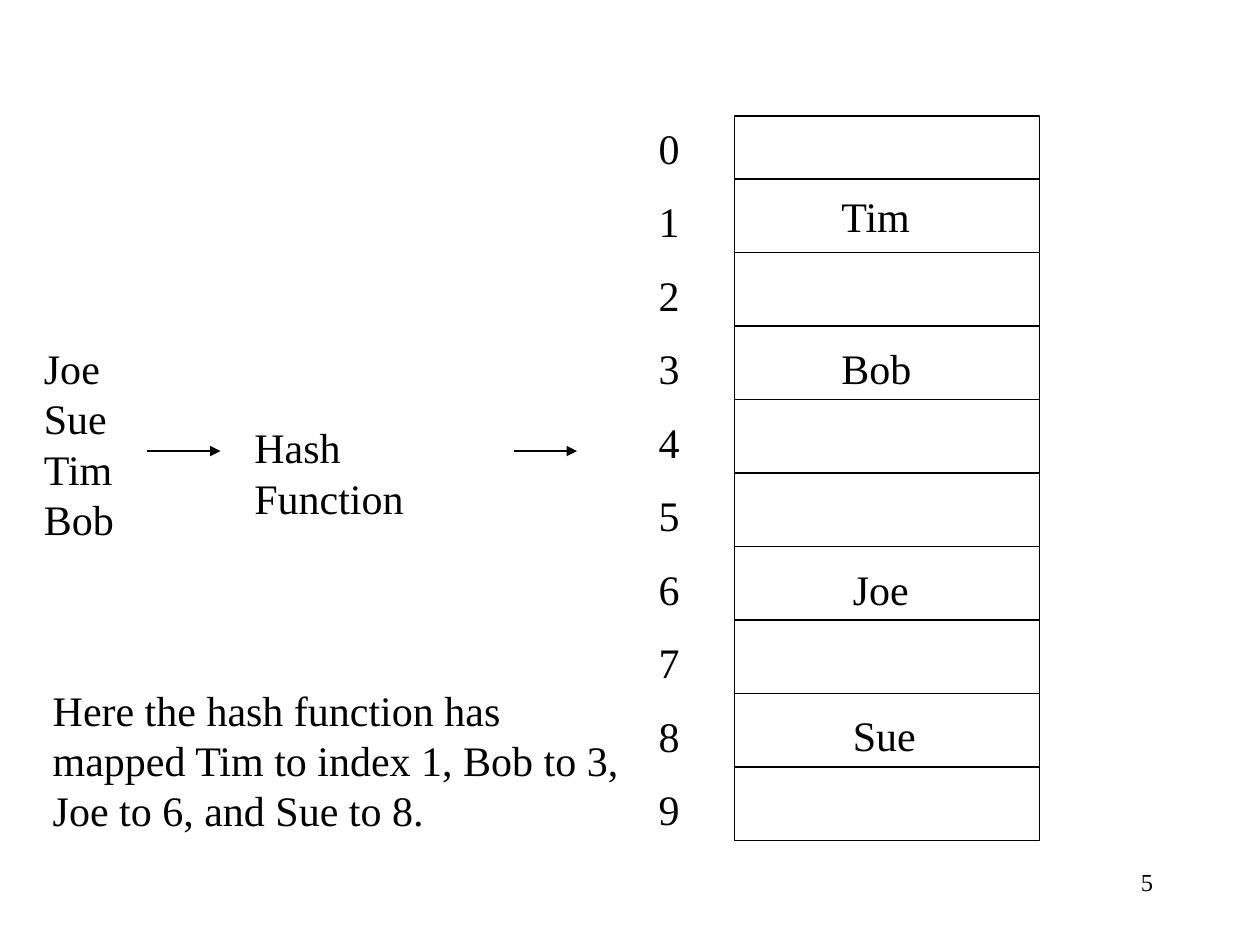
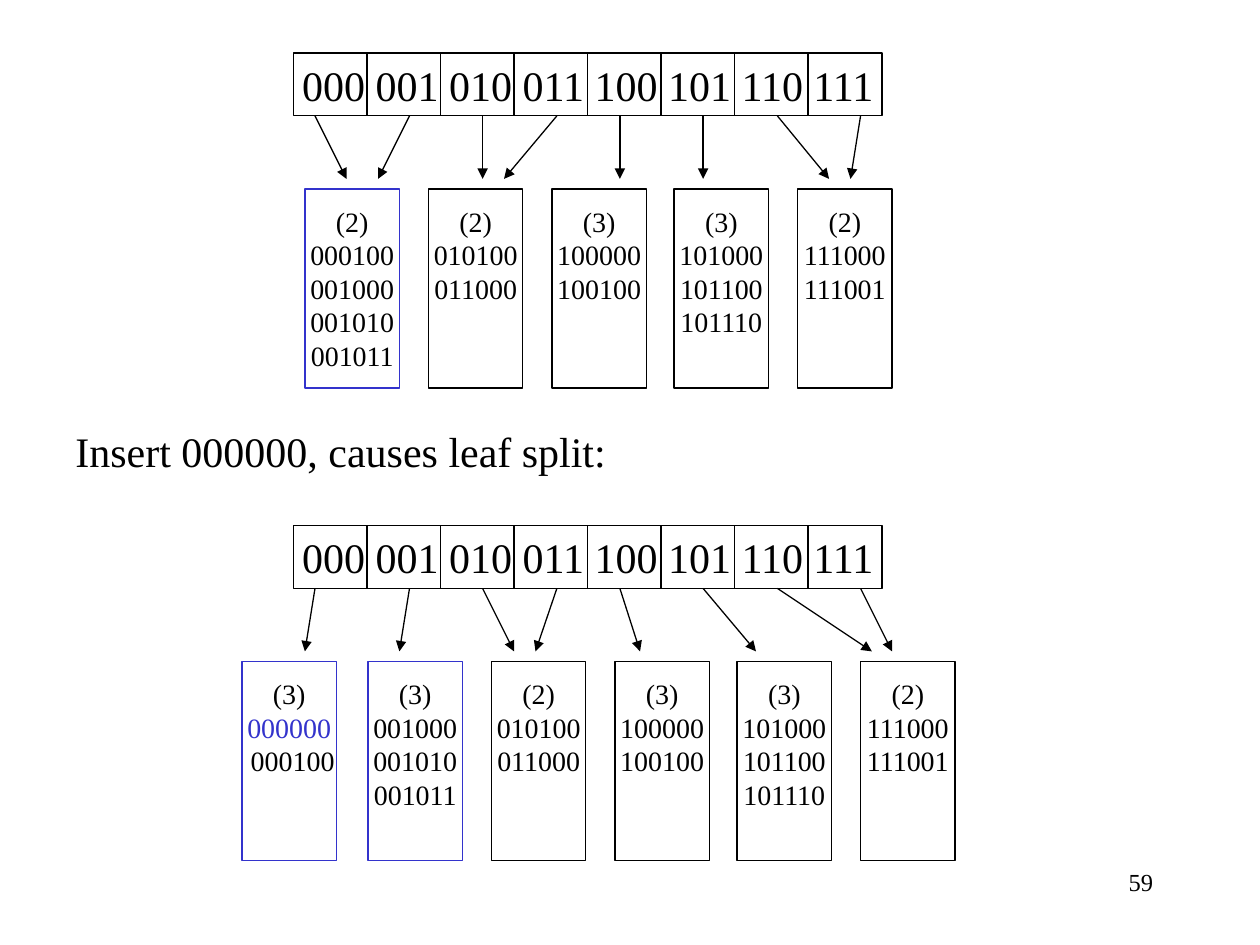
import dataclasses
import typing

import lxml.etree
import pptx
import pptx.dml.color
import pptx.enum.shapes
import pptx.enum.text
import pptx.oxml.ns
import pptx.slide
import pptx.util

Inches = pptx.util.Inches
Align = pptx.enum.text.PP_ALIGN
Anchor = pptx.enum.text.MSO_ANCHOR
Fit = pptx.enum.text.MSO_AUTO_SIZE

# Shared look
FONT = "Times New Roman"
BLACK = "000000"
BLUE = "3333CC"
STROKE = 0.75
LARGE, SMALL, FOOT = 24, 16, 14
LABEL = {"word_wrap": False, "auto_size": Fit.SHAPE_TO_FIT_TEXT}
BAR = {"word_wrap": False, "vertical_anchor": Anchor.MIDDLE}
LEAF = {"word_wrap": False, "vertical_anchor": Anchor.TOP,
        "margin_top": Inches(0.12)}
NOTE = {"word_wrap": True}


@dataclasses.dataclass
class Box:
    left: float
    top: float
    width: float
    height: float


@dataclasses.dataclass
class Leaf:
    left: float
    depth: int
    keys: list[str]
    edge: str = BLACK
    fresh: str = ""  # key shown in blue


@dataclasses.dataclass
class Tree:
    top: float
    tips: list[float]  # arrow ends, one for each index cell
    leaves: list[Leaf]


def tint(code: str) -> pptx.dml.color.RGBColor:
    return pptx.dml.color.RGBColor.from_string(code)


def place(box: Box) -> list[int]:
    return [Inches(n) for n in (box.left, box.top, box.width, box.height)]


def write(shape: typing.Any, lines: list[str], size: int, style: dict,
          align: Align = Align.LEFT, fresh: str = "") -> None:
    frame = shape.text_frame
    for name, value in style.items():
        setattr(frame, name, value)
    for i, line in enumerate(lines):
        para = frame.paragraphs[0] if i == 0 else frame.add_paragraph()
        para.alignment = align
        run = para.add_run()
        run.text = line
        look = {"name": FONT, "size": pptx.util.Pt(size)}
        for name, value in look.items():
            setattr(run.font, name, value)
        run.font.color.rgb = tint(BLUE if line == fresh else BLACK)


def text(slide: pptx.slide.Slide, box: Box, lines: list[str],
         size: int = LARGE, style: dict = LABEL,
         align: Align = Align.LEFT) -> None:
    write(slide.shapes.add_textbox(*place(box)), lines, size, style, align)


def rect(slide: pptx.slide.Slide, box: Box, edge: str = BLACK) -> typing.Any:
    kind = pptx.enum.shapes.MSO_SHAPE.RECTANGLE
    shape = slide.shapes.add_shape(kind, *place(box))
    shape.shadow.inherit = False
    shape.fill.background()
    shape.line.color.rgb = tint(edge)
    shape.line.width = pptx.util.Pt(STROKE)
    return shape


def line(slide: pptx.slide.Slide, x1: float, y1: float, x2: float, y2: float,
         arrow: bool = False) -> None:
    kind = pptx.enum.shapes.MSO_CONNECTOR.STRAIGHT
    ends = [Inches(n) for n in (x1, y1, x2, y2)]
    link = slide.shapes.add_connector(kind, *ends)
    link.line.color.rgb = tint(BLACK)
    link.line.width = pptx.util.Pt(STROKE)
    qn = pptx.oxml.ns.qn
    if arrow:
        lxml.etree.SubElement(link.line._get_or_add_ln(), qn("a:tailEnd"),
                              type="triangle")
    lxml.etree.SubElement(link._element.spPr, qn("a:effectLst"))


def page(deck: typing.Any, number: int) -> pptx.slide.Slide:
    slide = deck.slides.add_slide(deck.slide_layouts[6])
    text(slide, Box(7.42, 6.83, 1.83, 0.5), [str(number)], FOOT, NOTE,
         Align.RIGHT)
    return slide


# Hash table slide
ROWS = 10
PITCH = 7 / 12
TABLE = Box(5.83, 0.92, 2.42, 5.75)
NAMES = [("Tim", Box(6.58, 1.46, 0.76, 0.5)),
         ("Bob", Box(6.58, 2.67, 0.76, 0.5)),
         ("Joe", Box(6.67, 4.42, 0.65, 0.5)),
         ("Sue", Box(6.67, 5.58, 0.7, 0.5))]


def hashing(slide: pptx.slide.Slide) -> None:
    rect(slide, TABLE)
    for row in range(ROWS):
        top = TABLE.top + row * PITCH
        text(slide, Box(5.13, top, 0.37, 0.5), [str(row)])
        if row < ROWS - 1:
            y = top + 0.5
            line(slide, TABLE.left, y, TABLE.left + TABLE.width, y)
    for name, box in NAMES:
        text(slide, box, [name])
    # Keys flow through the function into the table
    text(slide, Box(0.25, 2.67, 0.78, 1.7), ["Joe", "Sue", "Tim", "Bob"])
    text(slide, Box(1.92, 3.3, 2.15, 0.5), ["Hash Function"])
    for start, end in ((1.17, 1.75), (4.08, 4.58)):
        line(slide, start, 3.58, end, 3.58, arrow=True)
    text(slide, Box(0.32, 5.38, 4.73, 1.31),
         ["Here the hash function has", "mapped Tim to index 1, Bob to 3,",
          "Joe to 6, and Sue to 8."])


# Leaf split slide
BITS = [f"{n:03b}" for n in range(8)]
STARTS = [2.5, 3.25, 3.83, 4.42, 4.92, 5.58, 6.17, 6.83]
REST = [(2, ["010100", "011000"]), (3, ["100000", "100100"]),
        (3, ["101000", "101100", "101110"]), (2, ["111000", "111001"])]


def others(lefts: list[float]) -> list[Leaf]:
    return [Leaf(x, depth, keys) for x, (depth, keys) in zip(lefts, REST)]


TREES = [
    Tree(0.42, [2.75, 3, 3.83, 4, 4.92, 5.58, 6.58, 6.75],
         [Leaf(2.42, 2, ["000100", "001000", "001010", "001011"], BLUE)]
         + others([3.4, 4.38, 5.35, 6.33])),
    Tree(4.17, [2.42, 3.17, 4.08, 4.25, 5.08, 6, 6.92, 7.08],
         [Leaf(1.92, 3, ["000000", " 000100"], BLUE, "000000"),
          Leaf(2.92, 3, ["001000", "001010", "001011"], BLUE)]
         + others([3.9, 4.88, 5.85, 6.83])),
]


def grow(slide: pptx.slide.Slide, tree: Tree) -> None:
    bar = Box(2.33, tree.top, 4.67, 0.5)
    base = bar.top + bar.height
    write(rect(slide, bar), [" ".join(BITS)], LARGE, BAR, Align.CENTER)
    for cell in range(1, len(BITS)):
        x = bar.left + cell * PITCH
        line(slide, x, bar.top, x, base)
    for start, tip in zip(STARTS, tree.tips):
        line(slide, start, base, tip, base + 0.5, arrow=True)
    for leaf in tree.leaves:
        shape = rect(slide, Box(leaf.left, base + 0.58, 0.75, 1.58), leaf.edge)
        write(shape, [f"({leaf.depth})"] + leaf.keys, SMALL, LEAF,
              Align.CENTER, leaf.fresh)


def main() -> None:
    deck = pptx.Presentation()
    deck.slide_width, deck.slide_height = Inches(10), Inches(7.5)
    hashing(page(deck, 5))
    split = page(deck, 59)
    text(split, Box(0.5, 3.33, 4.41, 0.5), ["Insert 000000, causes leaf split:"])
    for tree in TREES:
        grow(split, tree)
    deck.save("out.pptx")


main()
